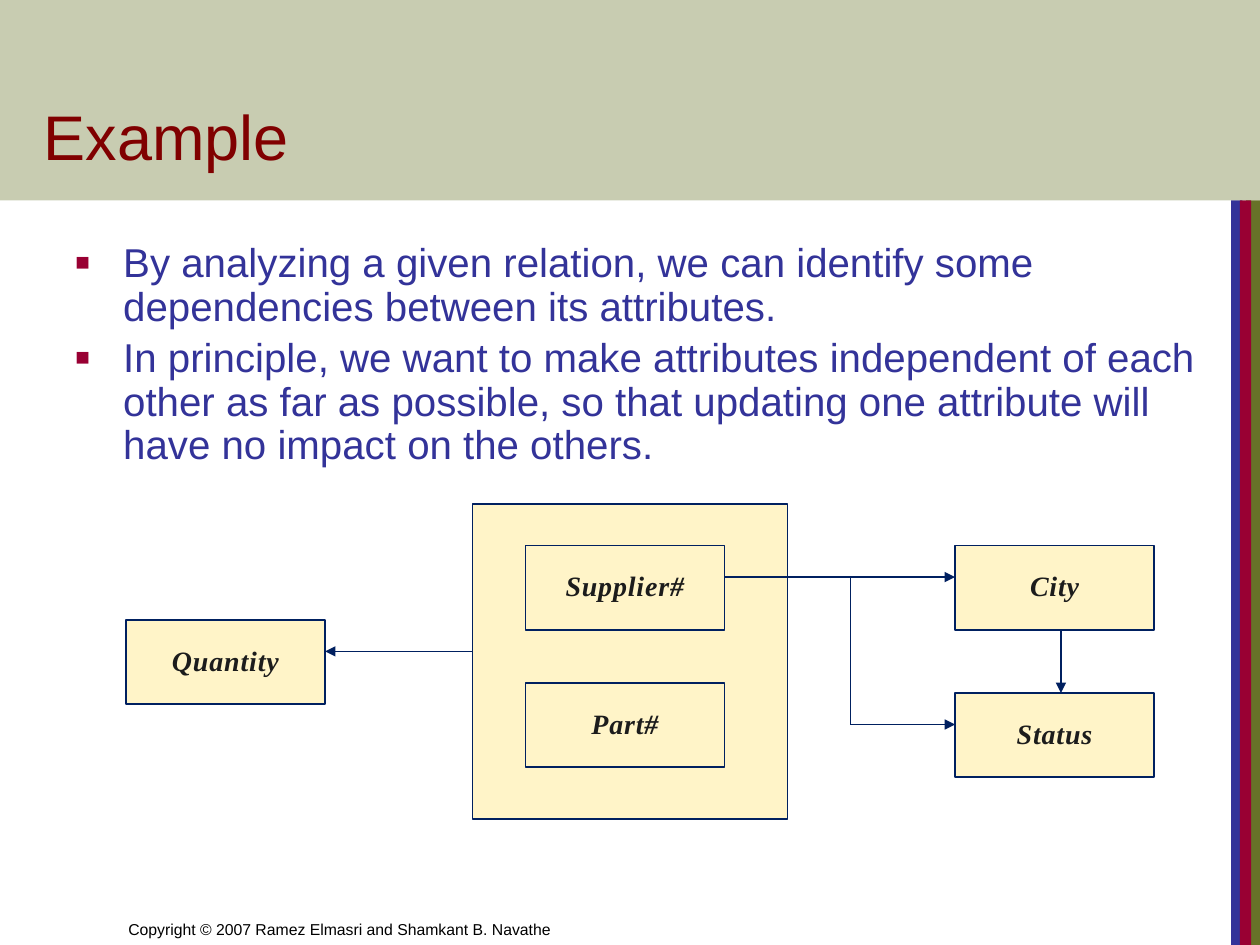
from dataclasses import dataclass

from lxml import etree
from pptx import Presentation
from pptx.dml.color import RGBColor
from pptx.enum.shapes import MSO_CONNECTOR, MSO_SHAPE
from pptx.enum.text import MSO_ANCHOR, PP_ALIGN
from pptx.oxml.ns import qn
from pptx.util import Inches, Pt

RECTANGLE = MSO_SHAPE.RECTANGLE
STRAIGHT = MSO_CONNECTOR.STRAIGHT
BOTTOM, MIDDLE = MSO_ANCHOR.BOTTOM, MSO_ANCHOR.MIDDLE
CENTER = PP_ALIGN.CENTER


@dataclass(frozen=True)
class Theme:
    olive: str = "677228"
    indigo: str = "333399"
    crimson: str = "990033"
    maroon: str = "800000"
    cream: str = "FFF4C8"
    navy: str = "002060"
    ink: str = "1C1C1C"
    black: str = "000000"
    sans: str = "Arial"
    serif: str = "Times New Roman"
    title_size: float = 36
    body_size: float = 23
    label_size: float = 16
    footer_size: float = 9
    line_spacing: float = 0.9


@dataclass(frozen=True)
class Attribute:
    name: str
    left: float
    top: float


@dataclass(frozen=True)
class Dependency:
    start: tuple[float, float]
    end: tuple[float, float]
    arrow: bool = True


THEME = Theme()
HEADER_HEIGHT = 1.59
BOX_WIDTH, BOX_HEIGHT = 1.58, 0.67
STRIPES = [(9.89, 0.11, THEME.olive), (9.77, 0.09, THEME.indigo), (9.84, 0.09, THEME.crimson)]
BULLETS = [
    "By analyzing a given relation, we can identify some dependencies between its attributes.",
    "In principle, we want to make attributes independent of each other as far as possible, "
    "so that updating one attribute will have no impact on the others.",
]
ATTRIBUTES = [
    Attribute("Supplier#", 4.17, 4.33),
    Attribute("Part#", 4.17, 5.42),
    Attribute("Status", 7.58, 5.5),
    Attribute("City", 7.58, 4.33),
    Attribute("Quantity", 1, 4.92),
]
DEPENDENCIES = [
    Dependency((3.75, 5.17), (2.58, 5.17)),
    Dependency((5.75, 4.58), (7.58, 4.58)),
    Dependency((8.42, 5), (8.42, 5.5)),
    Dependency((6.75, 4.58), (6.75, 5.75), arrow=False),
    Dependency((6.75, 5.75), (7.58, 5.75)),
]


def set_font(paragraph, name: str, size: float, color: str) -> None:
    paragraph.font.name = name
    paragraph.font.size = Pt(size)
    paragraph.font.color.rgb = RGBColor.from_string(color)


def add_rectangle(slide, left: float, top: float, width: float, height: float,
                  fill: str, line: str | None = None):
    shape = slide.shapes.add_shape(RECTANGLE, Inches(left), Inches(top), Inches(width), Inches(height))
    shape.shadow.inherit = False
    shape.fill.solid()
    shape.fill.fore_color.rgb = RGBColor.from_string(fill)
    if line:
        shape.line.color.rgb = RGBColor.from_string(line)
        shape.line.width = Pt(1)
    else:
        shape.line.fill.background()
    return shape


def add_text_frame(slide, left: float, top: float, width: float, height: float):
    box = slide.shapes.add_textbox(Inches(left), Inches(top), Inches(width), Inches(height))
    box.text_frame.word_wrap = True
    return box.text_frame


def add_line_of_text(slide, text: str, left: float, top: float, width: float, height: float,
                     size: float, color: str) -> None:
    frame = add_text_frame(slide, left, top, width, height)
    frame.vertical_anchor = BOTTOM
    frame.text = text
    set_font(frame.paragraphs[0], THEME.sans, size, color)


def add_bullet(paragraph) -> None:
    properties = paragraph._p.get_or_add_pPr()
    properties.set("marL", str(Inches(0.38)))
    properties.set("indent", str(Inches(-0.38)))
    color = etree.SubElement(properties, qn("a:buClr"))
    etree.SubElement(color, qn("a:srgbClr"), val=THEME.crimson)
    etree.SubElement(properties, qn("a:buSzPct"), val="60000")
    etree.SubElement(properties, qn("a:buFont"), typeface=THEME.sans)
    etree.SubElement(properties, qn("a:buChar"), char="■")


def add_body(slide) -> None:
    frame = add_text_frame(slide, 0.5, 1.88, 9, 2.18)
    frame.margin_right = 0
    for index, text in enumerate(BULLETS):
        paragraph = frame.add_paragraph() if index else frame.paragraphs[0]
        paragraph.text = text
        add_bullet(paragraph)
        paragraph.line_spacing = THEME.line_spacing
        if index:
            paragraph.space_before = Pt(4.6)
        set_font(paragraph, THEME.sans, THEME.body_size, THEME.indigo)


def add_attribute(slide, attribute: Attribute) -> None:
    shape = add_rectangle(slide, attribute.left, attribute.top, BOX_WIDTH, BOX_HEIGHT,
                          THEME.cream, THEME.navy)
    frame = shape.text_frame
    frame.word_wrap = False
    frame.vertical_anchor = MIDDLE
    paragraph = frame.paragraphs[0]
    run = paragraph.add_run()
    run.text = attribute.name
    run._r.get_or_add_rPr().set("spc", "50")
    paragraph.alignment = CENTER
    paragraph.line_spacing = THEME.line_spacing
    set_font(paragraph, THEME.serif, THEME.label_size, THEME.ink)
    paragraph.font.bold = True
    paragraph.font.italic = True


def add_dependency(slide, dependency: Dependency) -> None:
    points = [Inches(value) for value in dependency.start + dependency.end]
    connector = slide.shapes.add_connector(STRAIGHT, *points)
    connector.line.color.rgb = RGBColor.from_string(THEME.navy)
    connector.line.width = Pt(1)
    if dependency.arrow:
        etree.SubElement(connector.line._get_or_add_ln(), qn("a:tailEnd"), type="triangle")
    etree.SubElement(connector._element.spPr, qn("a:effectLst"))


def main() -> None:
    presentation = Presentation()
    presentation.slide_width = Inches(10)
    presentation.slide_height = Inches(7.5)
    slide = presentation.slides.add_slide(presentation.slide_layouts[6])

    for left, width, color in STRIPES:
        add_rectangle(slide, left, HEADER_HEIGHT, width, 7.5 - HEADER_HEIGHT, color)
    header = add_rectangle(slide, 0, 0, 10, HEADER_HEIGHT, THEME.olive)
    header_color = header._element.spPr.find(qn("a:solidFill")).find(qn("a:srgbClr"))
    etree.SubElement(header_color, qn("a:alpha"), val="36000")

    add_line_of_text(slide, "Copyright © 2007 Ramez Elmasri and Shamkant B. Navathe",
                     0.92, 7, 4.92, 0.5, THEME.footer_size, THEME.black)
    add_body(slide)
    add_rectangle(slide, 3.75, 4, 2.5, 2.5, THEME.cream, THEME.navy)
    for attribute in ATTRIBUTES:
        add_attribute(slide, attribute)
    for dependency in DEPENDENCIES:
        add_dependency(slide, dependency)
    add_line_of_text(slide, "Example", 0.25, 0.33, 8.53, 1.09, THEME.title_size, THEME.maroon)

    presentation.save("out.pptx")


if __name__ == "__main__":
    main()
